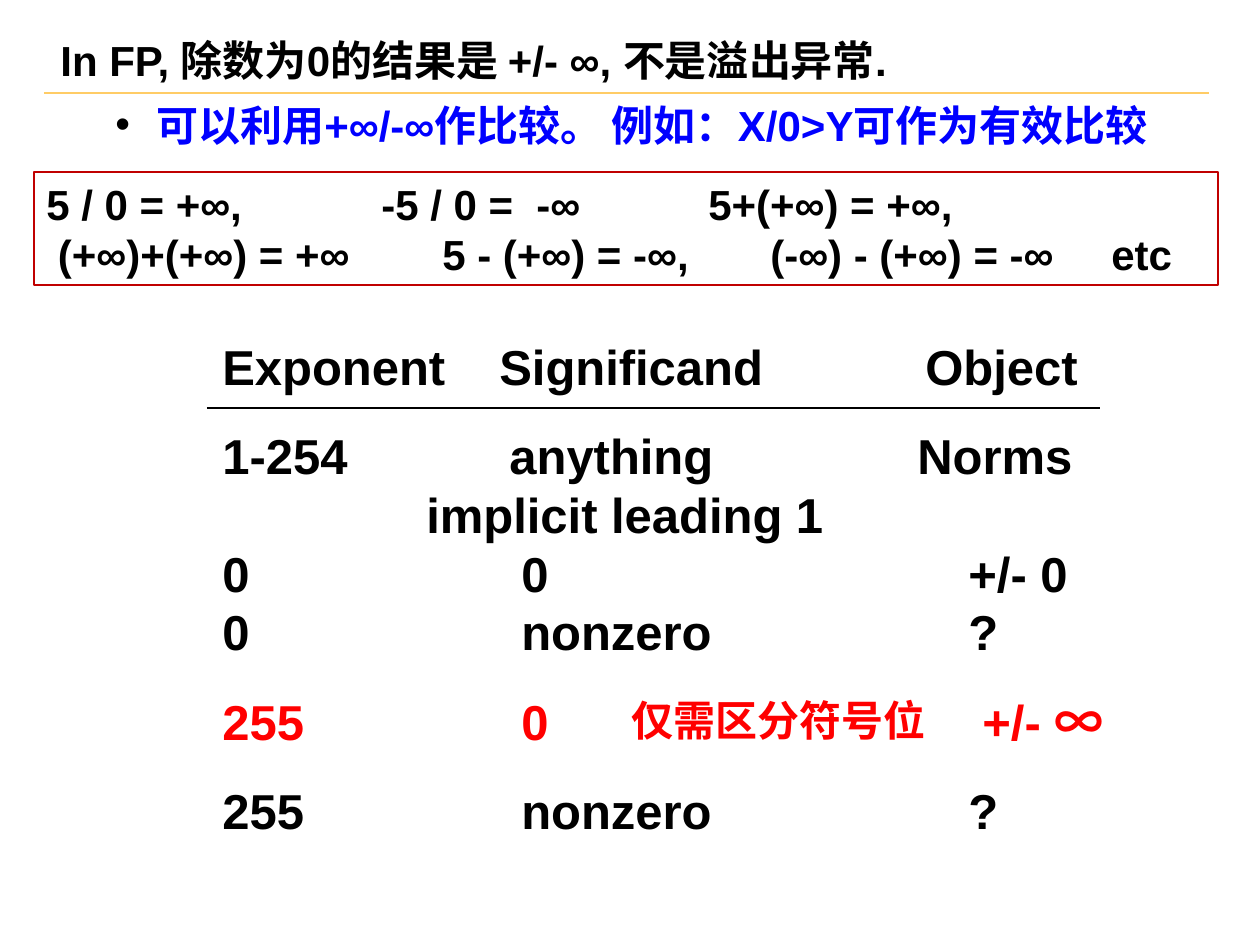
from dataclasses import dataclass

from lxml import etree
from pptx import Presentation
from pptx.dml.color import RGBColor
from pptx.enum.shapes import MSO_CONNECTOR, MSO_SHAPE
from pptx.enum.text import MSO_ANCHOR, PP_ALIGN
from pptx.oxml.ns import qn
from pptx.util import Emu, Pt

SCALE = 914400 / 126
RECTANGLE, STRAIGHT = MSO_SHAPE.RECTANGLE, MSO_CONNECTOR.STRAIGHT
LEFT, TOP = PP_ALIGN.LEFT, MSO_ANCHOR.TOP


@dataclass(frozen=True)
class Theme:
    black: str = "000000"
    blue: str = "0000FF"
    red: str = "FF0000"
    frame: str = "C00000"
    gold: str = "FFCC66"
    latin: str = "Arial"
    serif: str = "Times New Roman"
    chinese: str = "Noto Sans CJK SC"
    body: int = 24
    table: int = 28
    line_height: float = 1.2
    row_gap: float = 17.5


THEME = Theme()

# Each row: text, tab stops, colour, whether a gap precedes it
TABLE_ROWS = [
    ("Exponent\tSignificand\tObject", (277, 703), THEME.black, False),
    ("1-254\tanything\tNorms", (287, 695), THEME.black, True),
    ("\timplicit leading 1", (204,), THEME.black, False),
    ("0\t0\t+/- 0", (299, 746), THEME.black, False),
    ("0\tnonzero\t?", (299, 746), THEME.black, False),
    ("255\t0\t+/- ", (299, 760), THEME.red, True),
    ("255\tnonzero\t?", (299, 746), THEME.black, True),
]
INFINITY_ROW = 5
EQUATIONS = [
    ("5 / 0 = +∞,\t-5 / 0 =\t-∞\t5+(+∞) = +∞,", (335, 490, 662)),
    (" (+∞)+(+∞) = +∞\t5 - (+∞) = -∞,\t(-∞) - (+∞) = -∞\tetc", (396, 724, 1065)),
]


def px(length):
    return Emu(round(length * SCALE))


def add_rule(slide, left, top, width, color, weight):
    rule = slide.shapes.add_connector(
        STRAIGHT, px(left), px(top), px(left + width), px(top))
    rule.line.color.rgb = RGBColor.from_string(color)
    rule.line.width = Pt(weight)
    etree.SubElement(rule._element.spPr, qn("a:effectLst"))


def add_text_frame(slide, box, wrap=True):
    frame = slide.shapes.add_textbox(*map(px, box)).text_frame
    frame.word_wrap = wrap
    return frame


def add_tabs(paragraph, stops):
    properties = paragraph._p.get_or_add_pPr()
    tabs = etree.SubElement(properties, qn("a:tabLst"))
    for stop in stops:
        etree.SubElement(tabs, qn("a:tab"), pos=str(px(stop)), algn="l")


def add_bullet(paragraph, margin, hanging):
    """Give the paragraph a black round bullet with a hanging indent."""
    properties = paragraph._p.get_or_add_pPr()
    properties.set("marL", str(px(margin)))
    properties.set("indent", str(px(-hanging)))
    color = etree.SubElement(properties, qn("a:buClr"))
    etree.SubElement(color, qn("a:srgbClr"), val=THEME.black)
    etree.SubElement(properties, qn("a:buFont"), typeface=THEME.latin)
    etree.SubElement(properties, qn("a:buChar"), char="•")


def format_runs(paragraph, size, color=THEME.black, font=THEME.latin):
    paragraph.alignment = LEFT
    paragraph.line_spacing = Pt(size * THEME.line_height)
    for run in paragraph.runs:
        run.font.size = Pt(size)
        run.font.bold = True
        run.font.name = font
        run.font.color.rgb = RGBColor.from_string(color)


def add_paragraph(frame, index):
    return frame.add_paragraph() if index else frame.paragraphs[0]


def add_title(slide, box):
    left, top, _, height = box
    paragraph = add_text_frame(slide, box).paragraphs[0]
    paragraph.text = "In FP, 除数为0的结果是 +/- ∞, 不是溢出异常."
    format_runs(paragraph, THEME.body)
    add_rule(slide, left - 4, top + height + 2, 1165, THEME.gold, 1)


def add_comparison_point(slide, box):
    paragraph = add_text_frame(slide, box).paragraphs[0]
    paragraph.text = "可以利用+∞/-∞作比较。 例如：X/0>Y可作为有效比较"
    add_bullet(paragraph, 115, 41)
    format_runs(paragraph, THEME.body, THEME.blue)


def add_equations(slide, box):
    shape = slide.shapes.add_shape(RECTANGLE, *map(px, box))
    shape.shadow.inherit = False
    shape.fill.background()
    shape.line.color.rgb = RGBColor.from_string(THEME.frame)
    shape.line.width = Pt(0.75)
    frame = shape.text_frame
    frame.word_wrap = True
    frame.vertical_anchor = TOP
    for index, (text, stops) in enumerate(EQUATIONS):
        paragraph = add_paragraph(frame, index)
        paragraph.text = text
        add_tabs(paragraph, stops)
        format_runs(paragraph, THEME.body)


def add_encoding_table(slide, box):
    """Set the tabbed encoding rows, the header rule and the sign-bit label."""
    left, top, _, _ = box
    frame = add_text_frame(slide, box)
    for index, (text, stops, color, gap) in enumerate(TABLE_ROWS):
        paragraph = add_paragraph(frame, index)
        paragraph.text = text
        add_tabs(paragraph, stops)
        if gap:
            paragraph.space_before = Pt(THEME.row_gap)
        if index == INFINITY_ROW:
            paragraph.add_run().text = "∞"
        format_runs(paragraph, THEME.table, color)
        if index == INFINITY_ROW:
            infinity = paragraph.runs[-1]
            infinity.font.name = THEME.chinese
            for tag in ("a:ea", "a:sym"):
                etree.SubElement(infinity._r.rPr, qn(tag), typeface=THEME.chinese)
    add_rule(slide, left - 3, top + 78, 893, THEME.black, 0.75)

    label = add_text_frame(slide, (left + 409, top + 358, 319, 63), wrap=False)
    label.text = "仅需区分符号位"
    format_runs(label.paragraphs[0], THEME.body, THEME.red, THEME.serif)


def main():
    presentation = Presentation()
    presentation.slide_width, presentation.slide_height = px(1260), px(945)
    slide = presentation.slides.add_slide(presentation.slide_layouts[6])
    add_title(slide, (48, 28, 1212, 63))
    add_comparison_point(slide, (29, 93, 1194, 63))
    add_equations(slide, (34, 172, 1184, 113))
    add_encoding_table(slide, (210, 330, 914, 517))
    presentation.save("out.pptx")


if __name__ == "__main__":
    main()
